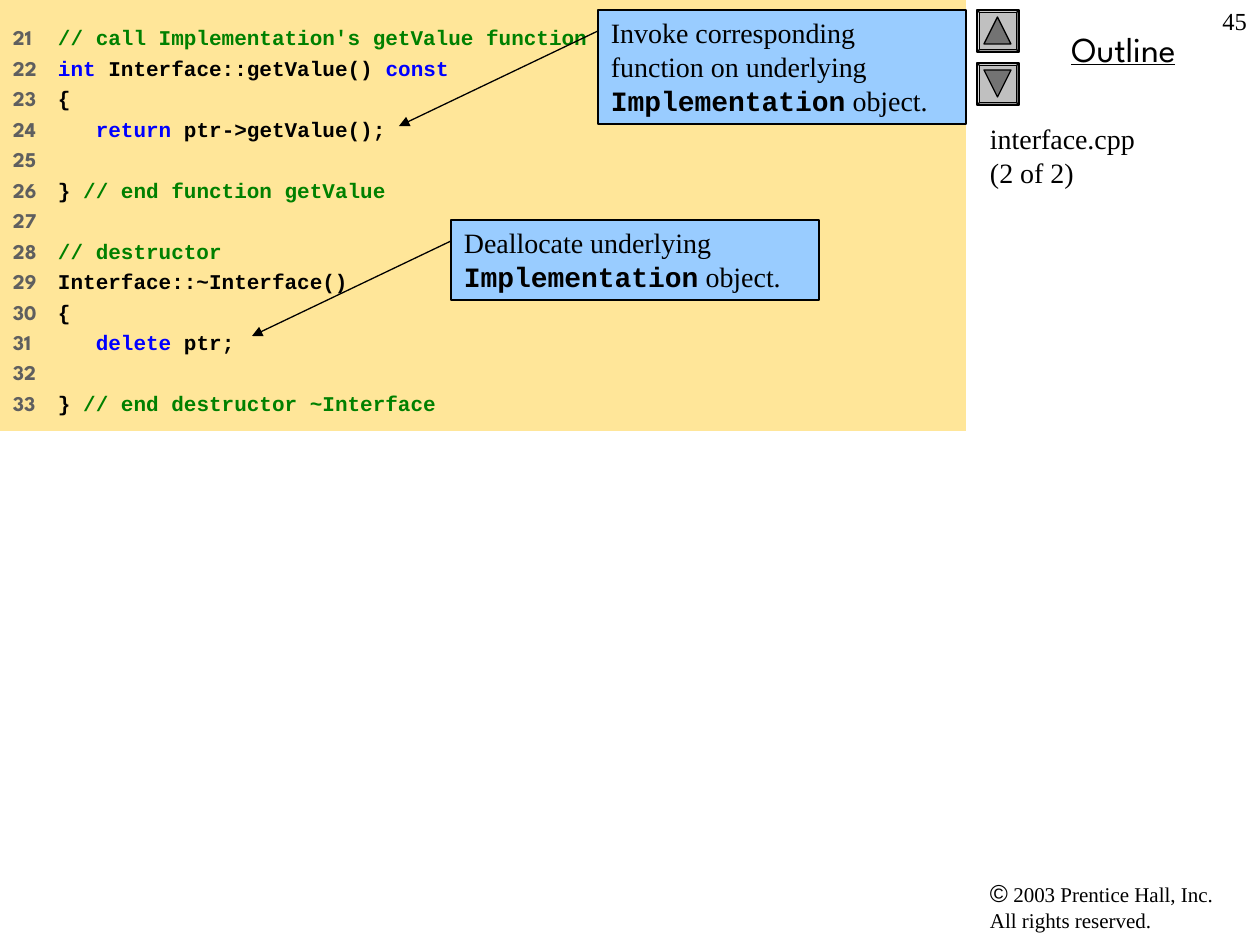
import pptx
import pptx.util
import pptx.dml.color
import pptx.enum.shapes
import pptx.enum.text
import pptx.oxml.ns
import lxml.etree

RGBColor = pptx.dml.color.RGBColor
Shape = pptx.enum.shapes.MSO_SHAPE
Align = pptx.enum.text.PP_ALIGN

BLACK = RGBColor(0x00, 0x00, 0x00)
NUMBER_GRAY = RGBColor(0x5F, 0x5F, 0x5F)
COMMENT_GREEN = RGBColor(0x00, 0x80, 0x00)
KEYWORD_BLUE = RGBColor(0x00, 0x00, 0xFF)
CODE_FILL = RGBColor(0xFF, 0xE6, 0x99)
CALLOUT_FILL = RGBColor(0x99, 0xCC, 0xFF)
BUTTON_GRAY = RGBColor(0xC0, 0xC0, 0xC0)
ARROW_GRAY = RGBColor(0x73, 0x73, 0x73)

SERIF = "Times New Roman"
MONO = "Courier New"
DISPLAY = "League Spartan"

FIRST_LINE = 21
CODE_TAB = 45
CODE = [
    [("// call Implementation's getValue function", COMMENT_GREEN)],
    [("int", KEYWORD_BLUE), (" Interface::getValue() ", BLACK), ("const", KEYWORD_BLUE)],
    [("{", BLACK)],
    [("   return", KEYWORD_BLUE), (" ptr->getValue();", BLACK)],
    [],
    [("} ", BLACK), ("// end function getValue", COMMENT_GREEN)],
    [],
    [("// destructor", COMMENT_GREEN)],
    [("Interface::~Interface()", BLACK)],
    [("{", BLACK)],
    [("   delete", KEYWORD_BLUE), (" ptr;", BLACK)],
    [],
    [("} ", BLACK), ("// end destructor ~Interface", COMMENT_GREEN)],
]


def px(length):
    return pptx.util.Emu(round(length * 914400 / 126))


def add_xml(parent, tag, **attributes):
    return lxml.etree.SubElement(parent, pptx.oxml.ns.qn(tag), **attributes)


def set_font(font, name, size, color=BLACK, bold=False):
    font.name = name
    font.size = pptx.util.Pt(size)
    font.color.rgb = color
    font.bold = bold


def add_run(paragraph, text, name, size, color=BLACK, bold=False):
    run = paragraph.add_run()
    run.text = text
    set_font(run.font, name, size, color, bold)


def prepare_frame(shape, vertical_inset=6):
    frame = shape.text_frame
    frame.word_wrap = True
    frame.auto_size = pptx.enum.text.MSO_AUTO_SIZE.NONE
    frame.vertical_anchor = pptx.enum.text.MSO_ANCHOR.TOP
    frame.margin_left = frame.margin_right = px(13)
    frame.margin_top = frame.margin_bottom = px(vertical_inset)
    return frame


def add_box(slide, kind, left, top, width, height, fill, outlined=True):
    shape = slide.shapes.add_shape(kind, px(left), px(top), px(width), px(height))
    shape.shadow.inherit = False
    shape.fill.solid()
    shape.fill.fore_color.rgb = fill
    if outlined:
        shape.line.color.rgb = BLACK
        shape.line.width = pptx.util.Pt(0.75)
    else:
        shape.line.fill.background()
    return shape


def add_label(slide, left, top, width, height, alignment=Align.LEFT):
    box = slide.shapes.add_textbox(px(left), px(top), px(width), px(height))
    paragraph = prepare_frame(box).paragraphs[0]
    paragraph.alignment = alignment
    return paragraph


def set_title(slide, text):
    title = slide.shapes.title
    title.left, title.top, title.width, title.height = px(977), px(116), px(283), px(661)
    frame = prepare_frame(title)
    frame.text = text
    paragraph = frame.paragraphs[0]
    paragraph.alignment = Align.LEFT
    set_font(paragraph.font, SERIF, 16)


def add_code(slide):
    panel = add_box(slide, Shape.RECTANGLE, 0, 0, 966, 431, CODE_FILL, outlined=False)
    frame = prepare_frame(panel, vertical_inset=25)
    for index, parts in enumerate(CODE):
        paragraph = frame.add_paragraph() if index else frame.paragraphs[0]
        paragraph.alignment = Align.LEFT
        if index:
            paragraph.space_before = pptx.util.Pt(3)
        tabs = add_xml(paragraph._p.get_or_add_pPr(), "a:tabLst")
        add_xml(tabs, "a:tab", pos=str(px(CODE_TAB)), algn="l")
        number = str(FIRST_LINE + index) + ("\t" if parts else "")
        add_run(paragraph, number, DISPLAY, 12, NUMBER_GRAY, bold=True)
        for text, color in parts:
            add_run(paragraph, text, MONO, 12, color, bold=True)


def add_callout(slide, left, top, height, lead):
    box = add_box(slide, Shape.RECTANGLE, left, top, 368, height, CALLOUT_FILL)
    paragraph = prepare_frame(box).paragraphs[0]
    paragraph.alignment = Align.LEFT
    add_run(paragraph, lead, SERIF, 16)
    add_run(paragraph, "Implementation", MONO, 16, bold=True)
    add_run(paragraph, " object.", SERIF, 16)

    arrow = slide.shapes.add_connector(
        pptx.enum.shapes.MSO_CONNECTOR.STRAIGHT,
        px(left), px(top + 21), px(left - 199), px(top + 116))
    arrow.line.color.rgb = BLACK
    arrow.line.width = pptx.util.Pt(0.75)
    add_xml(arrow.line._get_or_add_ln(), "a:tailEnd", type="triangle")
    add_xml(arrow._element.spPr, "a:effectLst")


def add_button(slide, top, rotation):
    button = add_box(slide, Shape.BEVEL, 977, top, 42, 42, BUTTON_GRAY)
    button.adjustments[0] = 0.06
    triangle = add_box(slide, Shape.ISOSCELES_TRIANGLE, 984, top + 7, 27, 27, ARROW_GRAY)
    triangle.rotation = rotation


def add_copyright(slide):
    paragraph = add_label(slide, 977, 872, 273, 68)
    add_run(paragraph, "©", "Arial", 14)
    add_run(paragraph, " 2003 Prentice Hall, Inc.", SERIF, 12)
    paragraph.add_line_break()
    add_run(paragraph, "All rights reserved.", SERIF, 12)


def main():
    presentation = pptx.Presentation()
    presentation.slide_width = px(1260)
    presentation.slide_height = px(945)
    slide = presentation.slides.add_slide(presentation.slide_layouts[5])

    add_copyright(slide)
    outline = add_label(slide, 987, 21, 273, 55, Align.CENTER)
    add_run(outline, "Outline", DISPLAY, 20)
    outline.runs[0].font.underline = True
    add_button(slide, 10, 0)
    add_button(slide, 63, 180)
    set_title(slide, "interface.cpp\v(2 of 2)")
    add_code(slide)
    add_callout(slide, 598, 10, 114, "Invoke corresponding function on underlying ")
    add_callout(slide, 451, 220, 80, "Deallocate underlying ")
    add_run(add_label(slide, 1197, 0, 63, 63, Align.RIGHT), "45", SERIF, 14)

    presentation.save("out.pptx")


if __name__ == "__main__":
    main()
